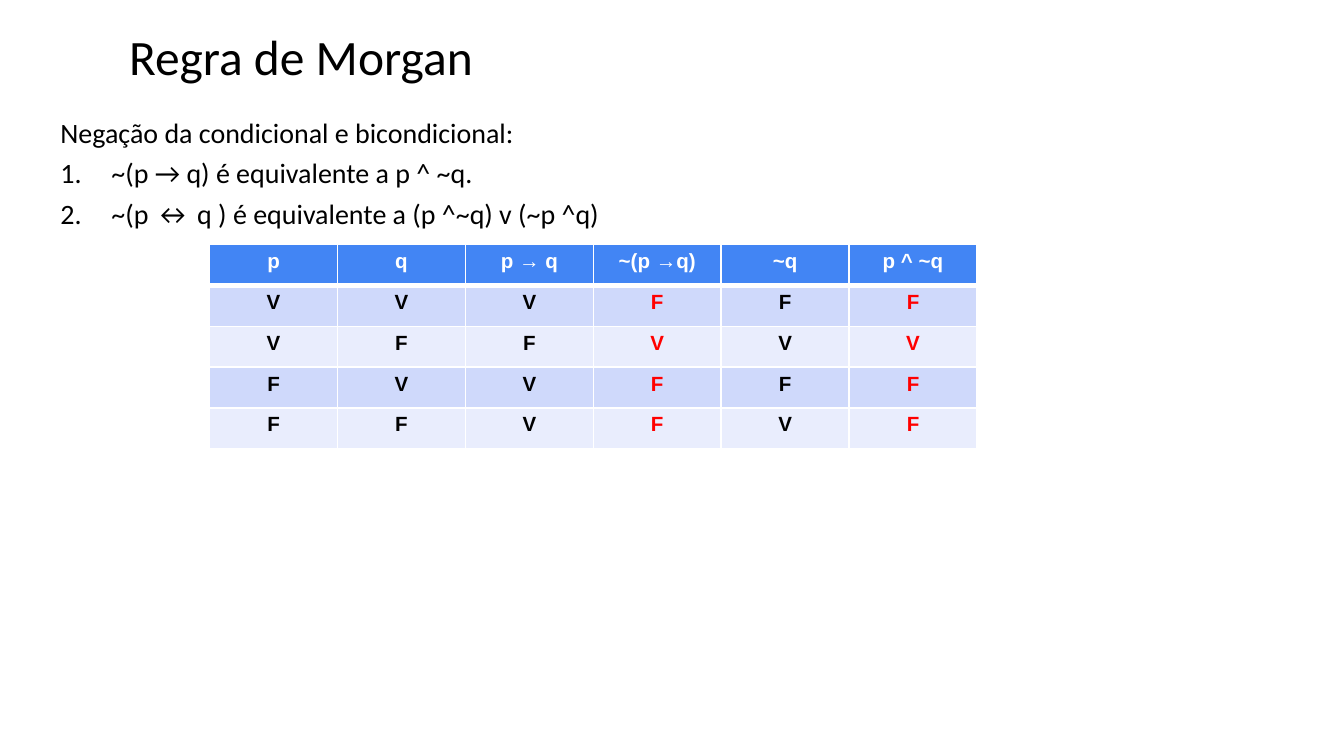
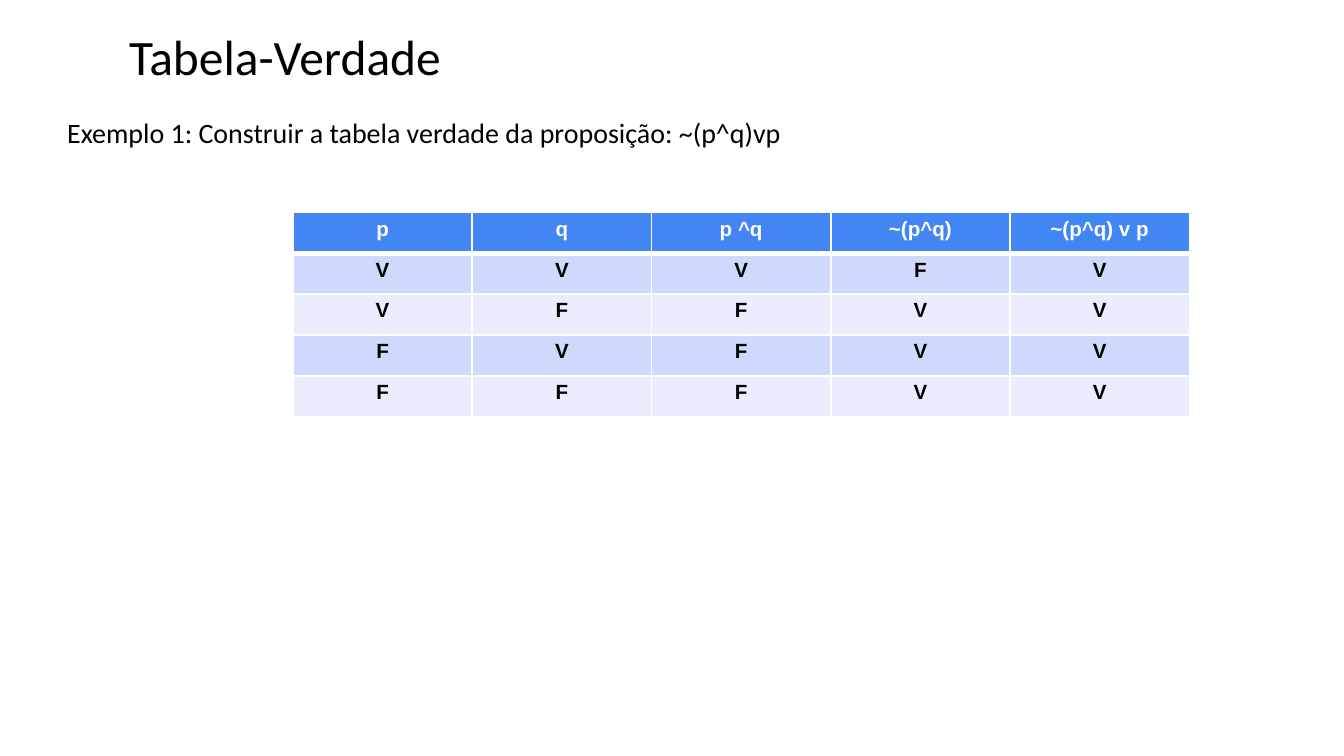
from lxml.etree import SubElement
from pptx import Presentation
from pptx.dml.color import RGBColor
from pptx.enum.text import MSO_ANCHOR as Anchor, MSO_AUTO_SIZE as AutoSize, PP_ALIGN as Align
from pptx.oxml.ns import qn
from pptx.util import Inches, Pt

BLACK = RGBColor(0x00, 0x00, 0x00)
WHITE = RGBColor(0xFF, 0xFF, 0xFF)
RED = RGBColor(0xFF, 0x00, 0x00)
HEADER_BLUE = RGBColor(0x42, 0x85, 0xF4)
BANDS = (RGBColor(0xCF, 0xD9, 0xFB), RGBColor(0xE9, 0xED, 0xFD))

SLIDE_WIDTH = Inches(10)
SLIDE_HEIGHT = SLIDE_WIDTH * 9 // 16
INSET_X, INSET_Y = Inches(0.07), Inches(0.04)
NUMBER_INDENT = Inches(0.38)

# Content: each table row is a string with one truth value per column
SLIDES = [
    {
        "title": "Regra de Morgan",
        "intro": "Negação da condicional e bicondicional:",
        "rules": [
            "~(p → q) é equivalente a p ^ ~q.",
            "~(p ↔ q ) é equivalente a (p ^~q) v (~p ^q)",
        ],
        "text_left": 0.38,
        "table_box": (1.56, 1.82, 5.71, 1.52),
        "header": ["p", "q", "p → q", "~(p →q)", "~q", "p ^ ~q"],
        "rows": ["VVVFFF", "VFFVVV", "FVVFFF", "FFVFVF"],
        "red_columns": (3, 5),
    },
    {
        "title": "Tabela-Verdade",
        "intro": "Exemplo 1: Construir a tabela verdade da proposição: ~(p^q)vp",
        "rules": [],
        "text_left": 0.43,
        "table_box": (2.18, 1.58, 6.67, 1.52),
        "header": ["p", "q", "p ^q", "~(p^q)", "~(p^q) v p"],
        "rows": ["VVVFV", "VFFVV", "FVFVV", "FFFVV"],
        "red_columns": (),
    },
]


def set_font(para, name, size, color, bold=False):
    font = para.font
    font.name, font.size, font.bold = name, Pt(size), bold
    font.color.rgb = color


def set_frame(frame):
    frame.margin_left = frame.margin_right = INSET_X
    frame.margin_top = frame.margin_bottom = INSET_Y
    frame.vertical_anchor = Anchor.TOP
    frame.auto_size = AutoSize.NONE
    frame.word_wrap = True


def add_title(page, text):
    title = page.shapes.title
    title.left, title.top = Inches(0.89), Inches(0.15)
    title.width, title.height = Inches(7.05), Inches(0.53)
    set_frame(title.text_frame)
    title.text_frame.text = text
    para = title.text_frame.paragraphs[0]
    para.alignment = Align.LEFT
    set_font(para, "Calibri", 26.5, BLACK)


def number_paragraph(para):
    properties = para._p.get_or_add_pPr()
    properties.set("marL", str(NUMBER_INDENT))
    properties.set("indent", str(-NUMBER_INDENT))
    color = SubElement(properties, qn("a:buClr"))
    SubElement(color, qn("a:srgbClr"), val=str(BLACK))
    SubElement(properties, qn("a:buFont"), typeface="+mj-lt")
    SubElement(properties, qn("a:buAutoNum"), type="arabicPeriod")


def add_text(page, left, intro, rules):
    box = page.shapes.add_textbox(Inches(left), Inches(0.77), Inches(8.73), Inches(0.4))
    frame = box.text_frame
    set_frame(frame)
    for index, text in enumerate([intro, *rules]):
        para = frame.add_paragraph() if index else frame.paragraphs[0]
        para.text = text
        para.alignment = Align.JUSTIFY
        para.line_spacing = 1.2
        if index:
            number_paragraph(para)
        set_font(para, "Calibri", 15, BLACK)


def set_borders(cell, top, bottom):
    properties = cell._tc.get_or_add_tcPr()
    for side, width in (("L", 1), ("R", 1), ("T", top), ("B", bottom)):
        line = SubElement(properties, qn(f"a:ln{side}"), w=str(Pt(width)))
        fill = SubElement(line, qn("a:solidFill"))
        SubElement(fill, qn("a:srgbClr"), val=str(WHITE))


def add_truth_table(page, place, header, rows, red_columns):
    lines = [header, *rows]
    width, height = place[2:]
    table = page.shapes.add_table(len(lines), len(header), *map(Inches, place)).table
    table.first_row = table.horz_banding = False
    for column in table.columns:
        column.width = Inches(width / len(header))
    for row in table.rows:
        row.height = Inches(height / len(lines))
    for r, values in enumerate(lines):
        for c, value in enumerate(values):
            cell = table.cell(r, c)
            # A thick rule parts the header from the values
            set_borders(cell, top=3 if r == 1 else 1, bottom=3 if r == 0 else 1)
            cell.fill.solid()
            cell.fill.fore_color.rgb = BANDS[(r - 1) % 2] if r else HEADER_BLUE
            cell.margin_left = cell.margin_right = INSET_X
            cell.margin_top = cell.margin_bottom = INSET_Y
            cell.text = value
            para = cell.text_frame.paragraphs[0]
            para.alignment = Align.CENTER
            value_color = RED if c in red_columns else BLACK
            set_font(para, "Arial", 11, value_color if r else WHITE, bold=True)


def main():
    deck = Presentation()
    deck.slide_width, deck.slide_height = SLIDE_WIDTH, SLIDE_HEIGHT
    title_only = deck.slide_layouts[5]
    for content in SLIDES:
        page = deck.slides.add_slide(title_only)
        add_title(page, content["title"])
        add_text(page, content["text_left"], content["intro"], content["rules"])
        add_truth_table(page, content["table_box"], content["header"],
                        content["rows"], content["red_columns"])
    deck.save("out.pptx")


if __name__ == "__main__":
    main()
